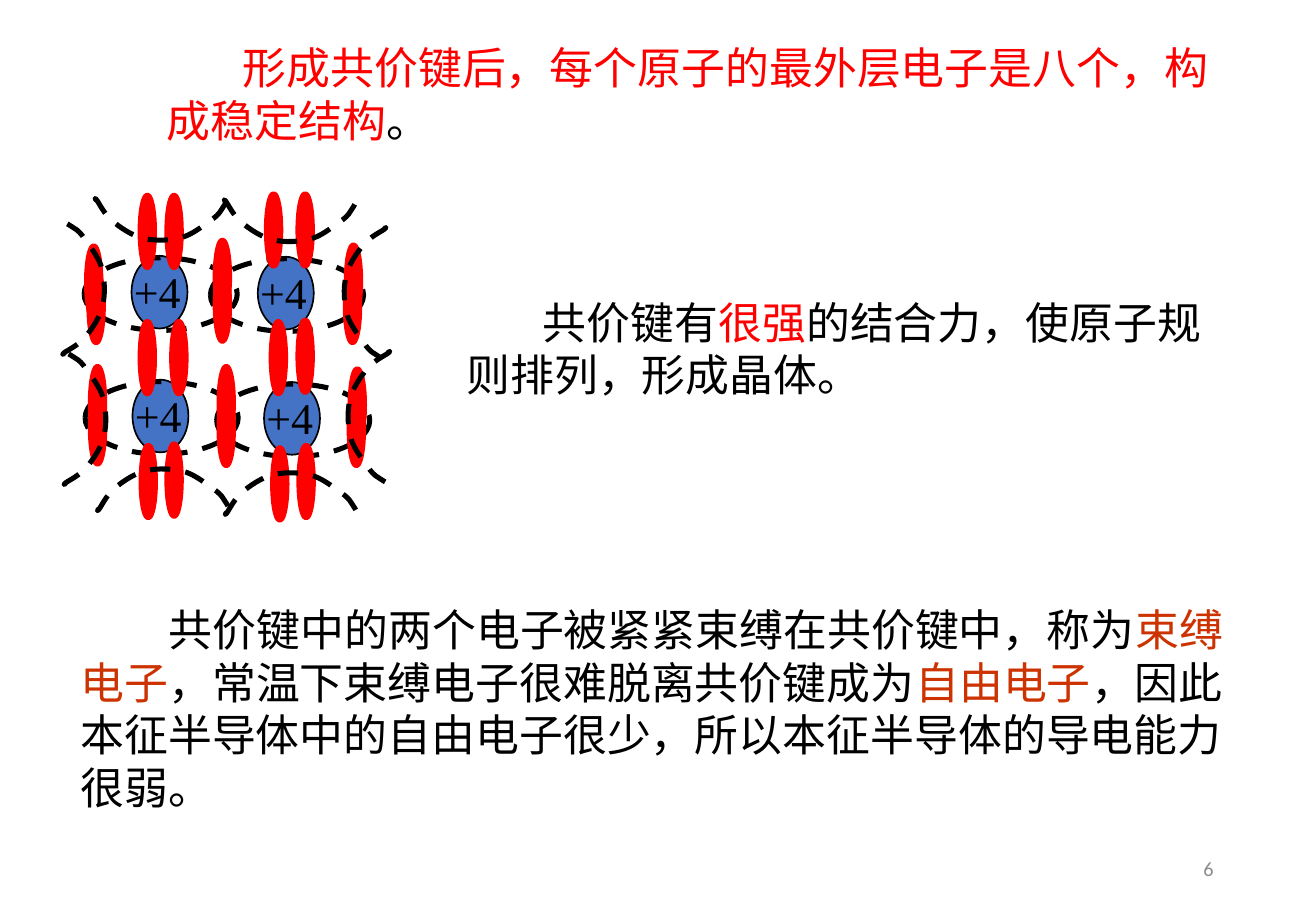
from lxml import etree
from pptx import Presentation
from pptx.dml.color import RGBColor as RGB
from pptx.enum.dml import MSO_LINE_DASH_STYLE as Dash
from pptx.enum.shapes import MSO_SHAPE as Shape
from pptx.enum.text import MSO_ANCHOR as Anchor, MSO_AUTO_SIZE as AutoSize, PP_ALIGN as Align
from pptx.oxml.ns import qn
from pptx.util import Cm, Pt

COLORS = {"black": "000000", "red": "FF0000", "term": "CC3300",
          "atom": "4472C4", "number": "8C8C8C"}
CJK, LATIN, SERIF = "Noto Sans CJK SC", "Calibri", "Times New Roman"

ATOMS = [(1.5, 1.3), (4.14, 1.32), (1.52, 3.89), (4.27, 3.94)]
ELECTRONS = [
    (1.68, 0.03), (2.24, 0.03), (4.32, 0), (4.98, 0),
    (1.68, 2.67), (2.34, 2.67), (4.42, 2.67), (4.98, 2.64),
    (1.7, 5.26), (2.24, 5.23), (4.45, 5.31), (5, 5.26),
    (0.56, 1.09), (0.61, 1.6), (3.25, 0.97), (3.25, 1.57), (5.99, 1.07), (5.97, 1.6),
    (0.64, 3.61), (0.64, 4.14), (3.33, 3.61), (3.33, 4.17), (6.07, 3.66), (6.05, 4.17)]
ARCS = [("right", 6.4, 2.1), ("right", 6.48, 4.69), ("top", 2.13, 0.52), ("top", 4.83, 0.55),
        ("bottom", 2.18, 6.21), ("bottom", 4.85, 6.29), ("left", 0.48, 1.97), ("left", 0.51, 4.69)]
TURNS = {"right": lambda x, y: (x, y), "left": lambda x, y: (-x, -y),
         "top": lambda x, y: (y, -x), "bottom": lambda x, y: (y, x)}
ARC_CURVE = [
    (0.38, -1.36), (0.38, -1.38), (0.46, -1.42), (0.39, -1.36),
    (0.33, -1.31), (0.1, -1.21), (-0.05, -1.03), (-0.18, -0.88), (-0.36, -0.62), (-0.41, -0.39),
    (-0.48, -0.14), (-0.46, 0.22), (-0.38, 0.47), (-0.3, 0.7), (-0.1, 0.93), (0, 1.08),
    (0.1, 1.21), (0.15, 1.23), (0.23, 1.28), (0.3, 1.33), (0.41, 1.38), (0.46, 1.41),
    (0.51, 1.44), (0.48, 1.44), (0.48, 1.44), (0.48, 1.44), (0.46, 1.41), (0.46, 1.41)]


def color(name):
    """Return the named colour."""
    return RGB.from_string(COLORS[name])


def format_run(r, size, name, font):
    """Set size, colour and typeface of a run."""
    r.font.size, r.font.name = Pt(size), font
    r.font.color.rgb = color(name)
    if font == CJK:
        etree.SubElement(r.font._element, qn("a:ea"), typeface=font)


def place(sp, box):
    """Move a shape to a box given in centimetres."""
    sp.left, sp.top, sp.width, sp.height = (Cm(v) for v in box)


def add_paragraph(sp, box, indent, parts):
    """Fill a placeholder with one indented paragraph of coloured parts."""
    place(sp, box)
    tf = sp.text_frame
    tf.word_wrap, tf.auto_size, tf.vertical_anchor = True, AutoSize.NONE, Anchor.MIDDLE
    tf.margin_left = tf.margin_right = Cm(0.28)
    tf.margin_top = tf.margin_bottom = Cm(0.15)
    p = tf.paragraphs[0]
    p.alignment, p.space_before, p.line_spacing = Align.LEFT, Pt(0), Pt(31.2)
    pPr = p._p.get_or_add_pPr()
    pPr.set("marL", "0")
    pPr.set("indent", str(Cm(indent)))
    etree.SubElement(pPr, qn("a:buNone"))
    for text, name in parts:
        r = p.add_run()
        r.text = text
        format_run(r, 26, name, CJK)


def add_label(s, box, text, size, name, font, align=Align.LEFT, anchor=Anchor.TOP):
    """Add a one-line text box."""
    sp = s.shapes.add_textbox(*(Cm(v) for v in box))
    tf = sp.text_frame
    tf.word_wrap, tf.vertical_anchor = True, anchor
    tf.text = text
    p = tf.paragraphs[0]
    p.alignment = align
    format_run(p.runs[0], size, name, font)


def style(sp, fill, line, width, dashed=False):
    """Set fill and outline of a shape."""
    sp.shadow.inherit = False
    if fill:
        sp.fill.solid()
        sp.fill.fore_color.rgb = color(fill)
    else:
        sp.fill.background()
    sp.line.color.rgb = color(line)
    sp.line.width = Pt(width)
    if dashed:
        sp.line.dash_style = Dash.DASH


def add_oval(s, box, *look):
    """Add a styled ellipse."""
    style(s.shapes.add_shape(Shape.OVAL, *(Cm(v) for v in box)), *look)


def bend(sp):
    """Turn each three line segments of a freeform into one cubic curve."""
    lines = list(sp._element.iter(qn("a:lnTo")))
    for i in range(0, len(lines), 3):
        curve = etree.SubElement(lines[i].getparent(), qn("a:cubicBezTo"))
        for line in lines[i:i + 3]:
            curve.append(line[0])
            line.getparent().remove(line)


def add_arc(s, x, y, side):
    """Draw a dashed outer bond centred on a point and open to one side."""
    turned = [TURNS[side](*pt) for pt in ARC_CURVE]
    points = [(Cm(x + dx), Cm(y + dy)) for dx, dy in turned]
    builder = s.shapes.build_freeform(*points[0])
    builder.add_line_segments(points[1:], close=False)
    sp = builder.convert_to_shape()
    bend(sp)
    style(sp, None, "black", 3, True)


def add_lattice(s, left, top):
    """Draw the four atoms with their shared electrons."""
    atoms = [(left + x, top + y) for x, y in ATOMS]
    for x, y in atoms:
        add_oval(s, (x, y, 1.17, 1.52), "atom", "black", 1)
        add_oval(s, (x - 0.99, y + 0.04, 3.2, 1.52), None, "black", 3, True)
    for x, y in ELECTRONS:
        add_oval(s, (left + x, top + y, 0.3, 1.52), "red", "red", 3)
    for side, x, y in ARCS:
        add_arc(s, left + x, top + y, side)
    for x, y in atoms:
        add_label(s, (x - 0.2, y + 0.06, 1.75, 1.37), "+4", 26, "black", SERIF)


def add_bond_slide(prs):
    """Build the covalent bond slide."""
    s = prs.slides.add_slide(prs.slide_layouts[3])
    title, strength, bound = s.placeholders
    add_paragraph(title, (3.2, 0.7, 22.73, 2.51), 1.59, [
        ("形成共价键后，每个原子的最外层电子是八个，构成稳定结构", "red"), ("。", "black")])
    add_paragraph(strength, (9.47, 6.02, 16.76, 2.51), 1.59, [
        ("共价键有", "black"), ("很强", "red"),
        ("的结合力，使原子规则排列，形成晶体。", "black")])
    add_paragraph(bound, (1.4, 12.44, 24.61, 4.72), 1.85, [
        ("共价键中的两个电子被紧紧束缚在共价键中，称为", "black"), ("束缚电子", "term"),
        ("，常温下束缚电子很难脱离共价键成为", "black"), ("自由电子", "term"),
        ("，因此本征半导体中的自由电子很少，所以本征半导体的导电能力很弱。", "black")])
    add_lattice(s, 1.25, 4.05)
    add_label(s, (19.42, 17.65, 6.2, 1.02), "6", 12, "number", LATIN, Align.RIGHT, Anchor.MIDDLE)


def main():
    """Create and save the deck."""
    prs = Presentation()
    prs.slide_width, prs.slide_height = Cm(27.51), Cm(19.05)
    add_bond_slide(prs)
    prs.save("out.pptx")


if __name__ == "__main__":
    main()
